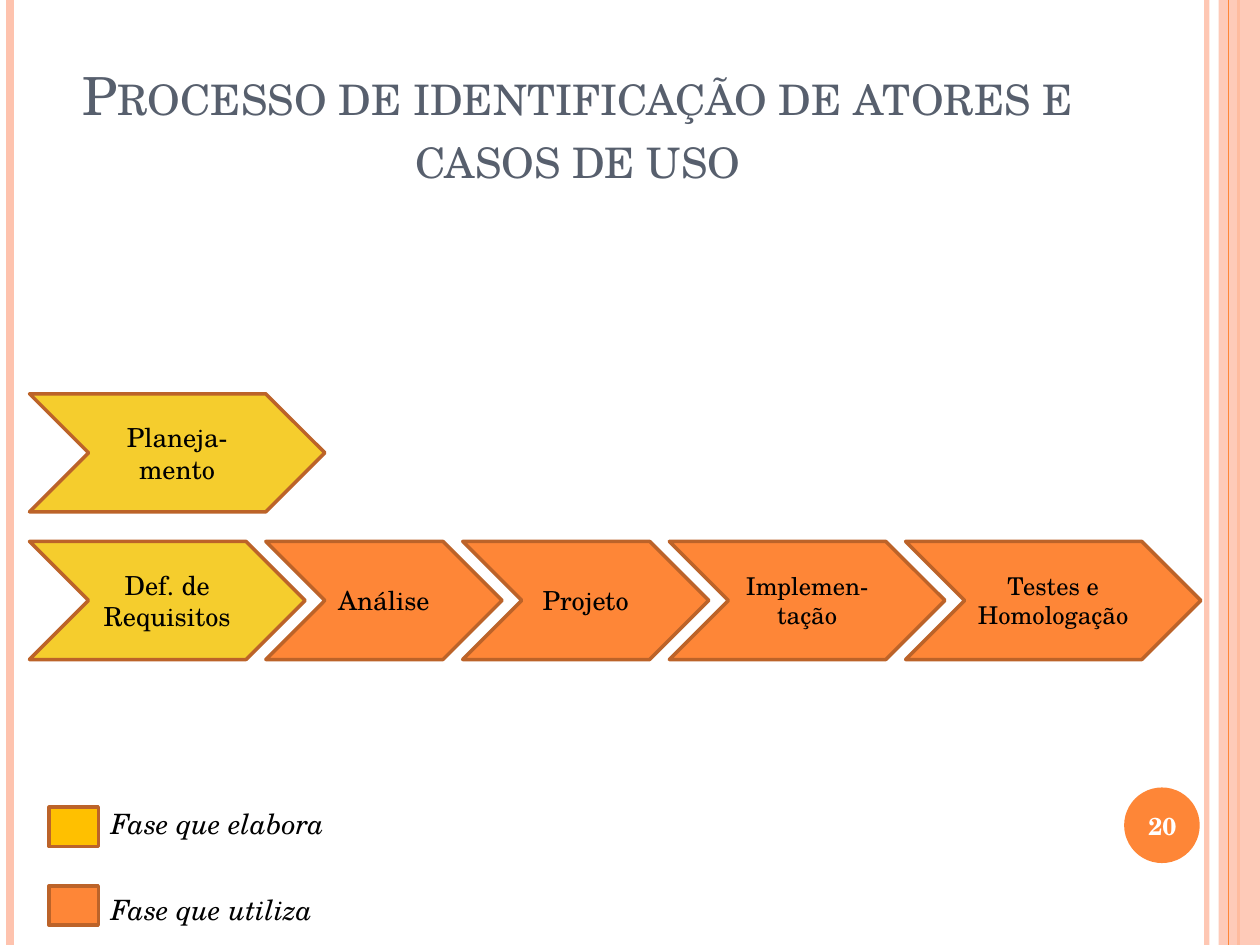
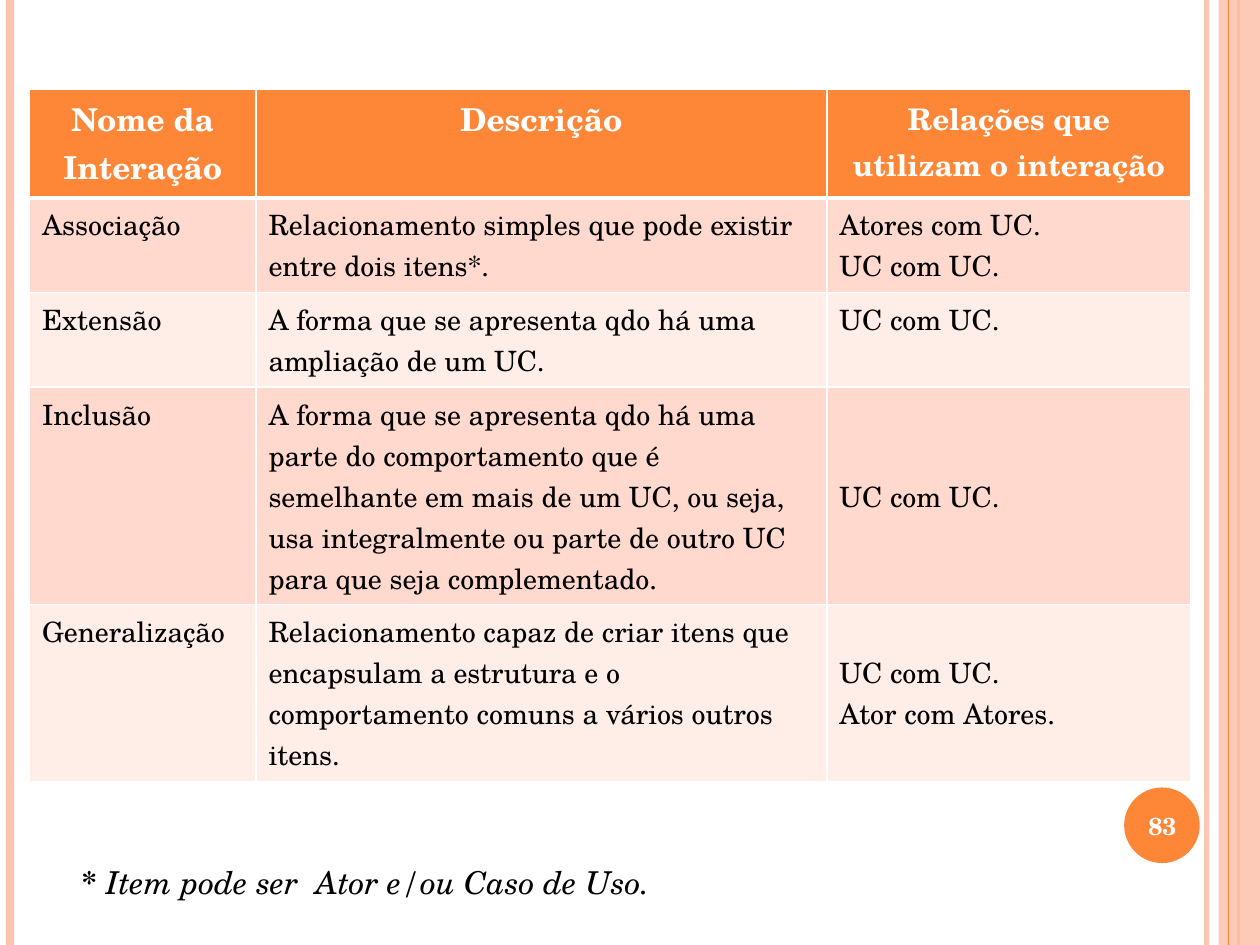
from lxml import etree
from pptx import Presentation
from pptx.dml.color import RGBColor
from pptx.enum.shapes import MSO_CONNECTOR, MSO_SHAPE
from pptx.enum.text import MSO_ANCHOR, MSO_AUTO_SIZE, PP_ALIGN
from pptx.oxml.ns import qn
from pptx.util import Inches, Pt

STRAIGHT = MSO_CONNECTOR.STRAIGHT
RECTANGLE, ELLIPSE, CHEVRON = MSO_SHAPE.RECTANGLE, MSO_SHAPE.OVAL, MSO_SHAPE.CHEVRON
TOP, MIDDLE, BOTTOM = MSO_ANCHOR.TOP, MSO_ANCHOR.MIDDLE, MSO_ANCHOR.BOTTOM
LEFT, CENTER = PP_ALIGN.LEFT, PP_ALIGN.CENTER
FIT_SHAPE, NO_FIT = MSO_AUTO_SIZE.SHAPE_TO_FIT_TEXT, MSO_AUTO_SIZE.NONE

WIDTH, HEIGHT = Inches(10), Inches(7.5)
COLUMNS, ROWS = 64, 48
UNIT = WIDTH / COLUMNS
FONT = "TeX Gyre Schola"
COLORS = {
    "orange": "FE8637", "peach": "FEC3AE", "edge": "BC6329", "yellow": "F5CD2D",
    "gold": "FFC000", "slate": "575F6D", "black": "000000", "white": "FFFFFF",
    "band_dark": "FFD9CE", "band_light": "FFEDE8",
}

TITLE_BOX = (3.2, 1.92, 52.3, 8)
NUMBER_BOX = (56.9, 40.13, 4.29, 3.65)
CIRCLE_BOX = (57.1, 40, 3.84, 3.84)
SIDE_BOX = (61.9, 0, 2.1, ROWS)
RULES = [(61.3, "peach", 3, 93), (0.5, "peach", 4.5, 100),
         (62.9, "orange", 1.5, 100), (62.4, "orange", 0.75, 100)]

PHASE_HEIGHT, PHASE_OVERLAP = 6, 2
PLANNING = [(["Planeja-mento"], 15, 15, "yellow")]
PHASES = [
    (["Def. de", "Requisitos"], 14, 15, "yellow"),
    (["Análise"], 12, 15, "orange"),
    (["Projeto"], 12.5, 15, "orange"),
    (["Implemen-tação"], 14, 14, "orange"),
    (["Testes e", "Homologação"], 15, 14, "orange"),
]
LEGEND = [("Fase que elabora", "gold", 0, -0.36, 12.5),
          ("Fase que utiliza", "orange", 4, 0, 11.8)]

TABLE_COLUMNS = [11.5, 29, 18.5]
TABLE_ROWS = [5.44, 4.8, 4.8, 11.02, 8.94]
HEADINGS = [("Nome da Interação", 18, 27.4), ("Descrição", 18, 27.4),
            ("Relações que utilizam o interação", 17, 26.3)]
INTERACTIONS = [
    ("Associação", "Relacionamento simples que pode existir entre dois itens*.",
     ["Atores com UC.", "UC com UC."], TOP),
    ("Extensão", "A forma que se apresenta qdo há uma ampliação de um UC.",
     ["UC com UC."], TOP),
    ("Inclusão", "A forma que se apresenta qdo há uma parte do comportamento que é "
     "semelhante em mais de um UC, ou seja, usa integralmente ou parte de outro UC "
     "para que seja complementado.", ["UC com UC."], MIDDLE),
    ("Generalização", "Relacionamento capaz de criar itens que encapsulam a estrutura "
     "e o comportamento comuns a vários outros itens.",
     ["UC com UC.", "Ator com Atores."], MIDDLE),
]


def units(*lengths):
    """Turn grid lengths into slide lengths."""
    return [round(length * UNIT) for length in lengths]


def rgb(name):
    """Look up a named colour."""
    return RGBColor.from_string(COLORS[name])


def set_opacity(shape, percent):
    """Make the solid colours of a shape partly transparent."""
    for color in shape.element.spPr.iter(qn("a:srgbClr")):
        etree.SubElement(color, qn("a:alpha")).set("val", str(percent * 1000))


def write(frame, lines, size, color="black", align=LEFT, spacing=None, **styles):
    """Fill a text frame with paragraphs, each a string or (text, styles) spans."""
    for index, line in enumerate(lines):
        para = frame.add_paragraph() if index else frame.paragraphs[0]
        para.alignment = align
        if spacing:
            para.line_spacing = Pt(spacing)
        for text, extra in [(line, {})] if isinstance(line, str) else line:
            span = para.add_run()
            span.text = text
            span.font.color.rgb = rgb(color)
            formats = {"name": FONT, "size": Pt(size), **styles, **extra}
            for name, value in formats.items():
                setattr(span.font, name, value)


def add_block(page, preset, box, fill, edge=None):
    """Add a flat preset shape, outlined only if an edge colour is named."""
    shape = page.shapes.add_shape(preset, *units(*box))
    shape.shadow.inherit = False
    shape.fill.solid()
    shape.fill.fore_color.rgb = rgb(fill)
    if edge:
        shape.line.color.rgb = rgb(edge)
        shape.line.width = Pt(2)
    else:
        shape.line.fill.background()
    return shape


def add_rule(page, column, color, weight):
    """Add a full-height vertical line."""
    rule = page.shapes.add_connector(STRAIGHT, *units(column, 0, column, ROWS))
    rule.line.color.rgb = rgb(color)
    rule.line.width = Pt(weight)
    etree.SubElement(rule.element.spPr, qn("a:effectLst"))
    return rule


def add_label(page, box, lines, size, **styles):
    """Add a one-line text box that grows with its text."""
    frame = page.shapes.add_textbox(*units(*box)).text_frame
    frame.word_wrap = False
    frame.auto_size = FIT_SHAPE
    write(frame, lines, size, **styles)


def decorate_master(deck, page):
    """Draw the side bands and number circle and move them to the master."""
    parts = []
    for column, color, weight, opacity in RULES:
        rule = add_rule(page, column, color, weight)
        if opacity < 100:
            set_opacity(rule, opacity)
        parts.append(rule)
    side = add_block(page, RECTANGLE, SIDE_BOX, "peach")
    set_opacity(side, 87)
    parts.insert(3, side)
    parts.append(add_block(page, ELLIPSE, CIRCLE_BOX, "orange"))
    for number, part in enumerate(parts, 101):
        part.element.xpath(".//p:cNvPr")[0].set("id", str(number))
        deck.slide_master.shapes.element.append(part.element)


def add_title(page, text):
    """Place the title in small capitals."""
    title = page.shapes.title
    title.left, title.top, title.width, title.height = units(*TITLE_BOX)
    frame = title.text_frame
    for name, value in {"vertical_anchor": BOTTOM, "auto_size": NO_FIT,
                        "word_wrap": True}.items():
        setattr(frame, name, value)
    write(frame, [text], 30, "slate", CENTER)
    for span in frame.paragraphs[0].runs:
        span.font.color.rgb = rgb("slate")
        span.font._element.set("cap", "small")


def add_number(page, number):
    """Write the page number over the circle."""
    frame = page.shapes.add_textbox(*units(*NUMBER_BOX)).text_frame
    frame.word_wrap = True
    frame.vertical_anchor = MIDDLE
    write(frame, [str(number)], 14, "white", CENTER, bold=True)


def add_phases(page, left, top, phases):
    """Chain overlapping chevrons from left to right."""
    for lines, width, size, fill in phases:
        chevron = add_block(page, CHEVRON, (left, top, width, PHASE_HEIGHT), fill, "edge")
        chevron.text_frame.word_wrap = True
        chevron.text_frame.vertical_anchor = MIDDLE
        write(chevron.text_frame, lines, size, align=CENTER)
        left += width - PHASE_OVERLAP


def add_legend(page, left, top):
    """Stack colour keys with their labels."""
    for text, fill, offset, shift, width in LEGEND:
        add_block(page, RECTANGLE, (left, top + offset, 2.5, 2), fill, "edge")
        box = (left + 2.5, top + offset + shift, width, 2.37)
        add_label(page, box, [text], 16, italic=True)


def add_borders(cell, weights):
    """Draw white borders with the given weight for each side."""
    properties = cell._tc.get_or_add_tcPr()
    for side, weight in weights.items():
        line = etree.SubElement(properties, qn(f"a:ln{side}"), w=str(Pt(weight)))
        fill = etree.SubElement(line, qn("a:solidFill"))
        etree.SubElement(fill, qn("a:srgbClr"), val=COLORS["white"])


def style_cell(cell, fill, weights, anchor=TOP):
    """Set the borders, fill and anchor of a cell."""
    add_borders(cell, weights)
    cell.fill.solid()
    cell.fill.fore_color.rgb = rgb(fill)
    cell.vertical_anchor = anchor


def add_interactions(page, left, top):
    """Build the table of interactions."""
    box = units(left, top, sum(TABLE_COLUMNS), sum(TABLE_ROWS))
    table = page.shapes.add_table(len(TABLE_ROWS), len(TABLE_COLUMNS), *box).table
    for column, width in zip(table.columns, units(*TABLE_COLUMNS)):
        column.width = width
    for row, height in zip(table.rows, units(*TABLE_ROWS)):
        row.height = height
    for index, (text, size, spacing) in enumerate(HEADINGS):
        cell = table.cell(0, index)
        style_cell(cell, "orange", {"L": 1, "R": 1, "T": 1, "B": 3})
        write(cell.text_frame, [text], size, "white", CENTER, spacing, bold=True)
    for number, (name, description, relations, anchor) in enumerate(INTERACTIONS, 1):
        fill = "band_dark" if number % 2 else "band_light"
        weights = {"L": 1, "R": 1, "T": 3 if number == 1 else 1, "B": 1}
        contents = [([name], TOP), ([description], TOP), (relations, anchor)]
        for index, (lines, place) in enumerate(contents):
            cell = table.cell(number, index)
            style_cell(cell, fill, weights, place)
            write(cell.text_frame, lines, 16, spacing=23.4, bold=False)


def build_process(page):
    """Build the slide with the process phases."""
    add_title(page, "Processo de identificação de atores e casos de uso")
    add_phases(page, 1.5, 27.5, PHASES)
    add_phases(page, 1.5, 20, PLANNING)
    add_legend(page, 2.5, 41)
    add_number(page, 20)


def build_relations(page):
    """Build the slide with the interaction table."""
    add_interactions(page, 1.5, 4.54)
    add_number(page, 83)
    note = [("* ", {"bold": True}),
            ("Item pode ser  Ator e/ou Caso de Uso.", {"italic": True})]
    add_label(page, (3.5, 43.5, 30.46, 2.56), [note], 18)


def main():
    """Build and save the deck."""
    deck = Presentation()
    deck.slide_width, deck.slide_height = WIDTH, HEIGHT
    process = deck.slides.add_slide(deck.slide_layouts[5])
    decorate_master(deck, process)
    build_process(process)
    build_relations(deck.slides.add_slide(deck.slide_layouts[6]))
    deck.save("out.pptx")


if __name__ == "__main__":
    main()
